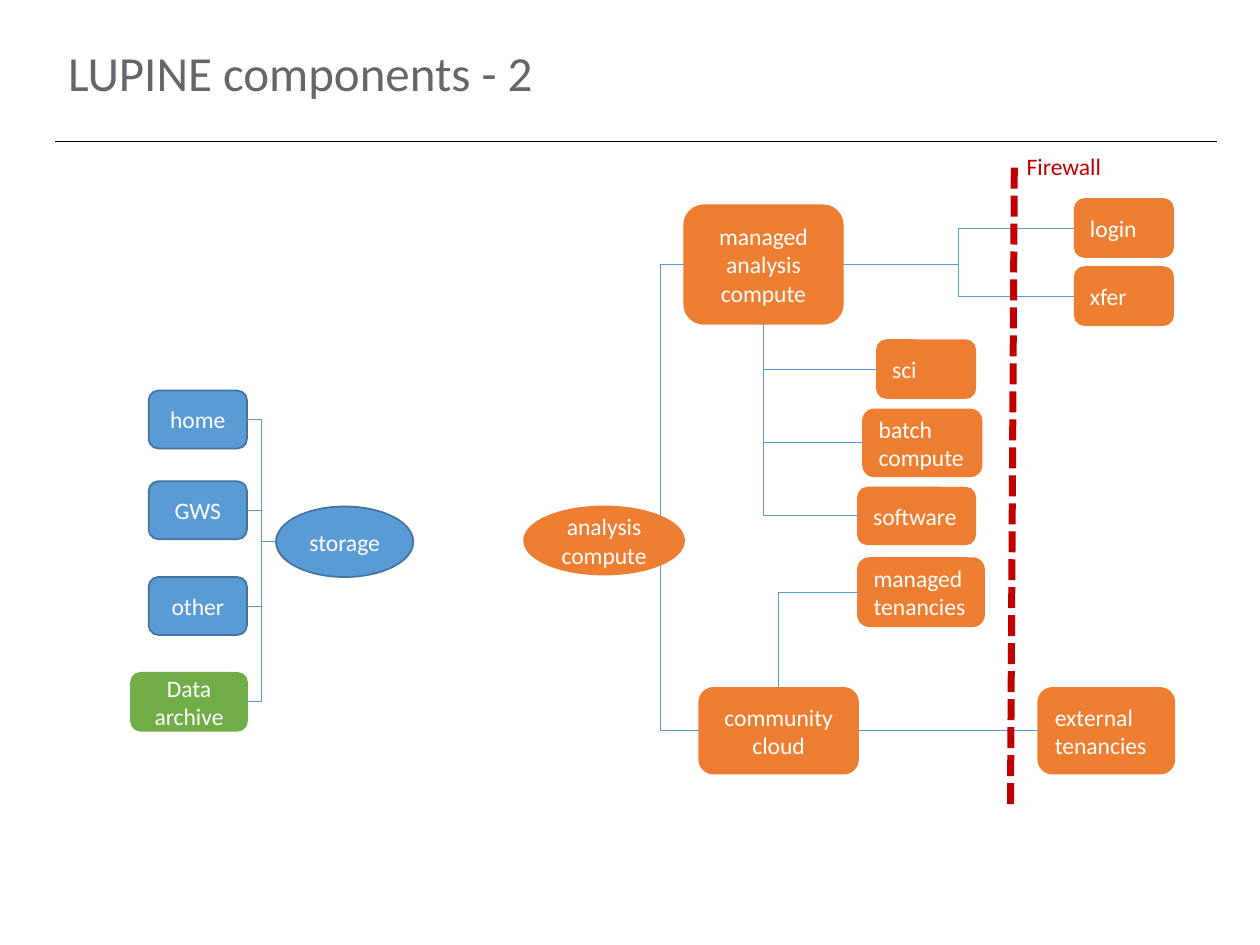
from lxml import etree
from pptx import Presentation
from pptx.dml.color import RGBColor
from pptx.enum.dml import MSO_LINE
from pptx.enum.shapes import MSO_CONNECTOR, MSO_SHAPE
from pptx.enum.text import MSO_ANCHOR, PP_ALIGN
from pptx.oxml.ns import qn
from pptx.util import Inches, Pt

ELLIPSE, ROUND = MSO_SHAPE.OVAL, MSO_SHAPE.ROUNDED_RECTANGLE
STRAIGHT, ELBOW = MSO_CONNECTOR.STRAIGHT, MSO_CONNECTOR.ELBOW
LEFT, CENTER = PP_ALIGN.LEFT, PP_ALIGN.CENTER
TOP, MIDDLE = MSO_ANCHOR.TOP, MSO_ANCHOR.MIDDLE
DASH = MSO_LINE.SQUARE_DOT

BLACK = RGBColor(0x00, 0x00, 0x00)
WHITE = RGBColor(0xFF, 0xFF, 0xFF)
GREY = RGBColor(0x63, 0x66, 0x6A)
BLUE = RGBColor(0x5B, 0x9B, 0xD5)
NAVY = RGBColor(0x43, 0x73, 0x9E)
GREEN = RGBColor(0x70, 0xAD, 0x47)
ORANGE = RGBColor(0xED, 0x7D, 0x31)
RED = RGBColor(0xC0, 0x00, 0x00)

COLS, ROWS = 1000, 750
NEAR, FAR = 0.15, 0.85
SITES = {
    ROUND: {"top": (0, 0.5, 0), "left": (1, 0, 0.5),
            "bottom": (2, 0.5, 1), "right": (3, 1, 0.5)},
    ELLIPSE: {"left": (2, 0, 0.5), "lower right": (5, FAR, FAR),
              "upper right": (7, FAR, NEAR)},
}

prs = Presentation()
prs.slide_width, prs.slide_height = Inches(10), Inches(7.5)
CELL_W, CELL_H = prs.slide_width // COLS, prs.slide_height // ROWS
s = prs.slides.add_slide(prs.slide_layouts[0])


def place(box, part=None):
    x, y, w, h = part or (0, 0, box[2], box[3])
    return ((box[0] + x) * CELL_W, (box[1] + y) * CELL_H,
            w * CELL_W, h * CELL_H)


def write(sp, text, size, color, align, anchor):
    tf = sp.text_frame
    tf.word_wrap = True
    tf.vertical_anchor = anchor
    tf.text = text
    for p in tf.paragraphs:
        p.alignment = align
        p.line_spacing = 0.9 if sp.is_placeholder else 1
        for r in p.runs:
            style = {"name": "Calibri", "size": Pt(size), "bold": False}
            for key, value in style.items():
                setattr(r.font, key, value)
            r.font.color.rgb = color


def line(kind, start, end, color, width):
    c = s.shapes.add_connector(kind, *map(round, start + end))
    c.line.color.rgb = color
    c.line.width = Pt(width)
    etree.SubElement(c._element.spPr, qn("a:effectLst"))
    return c


def node(box, text, part, fill, border, align=CENTER, kind=ROUND):
    sp = s.shapes.add_shape(kind, *place(box, part))
    sp.shadow.inherit = False
    sp.fill.solid()
    sp.fill.fore_color.rgb = fill
    sp.line.color.rgb = border
    sp.line.width = Pt(1)
    write(sp, text, 13.5, WHITE, align, MIDDLE)
    return sp


def link(start, start_side, end, end_side, kind=ELBOW, corner=False):
    points, glue = [], []
    for sp, side in ((start, start_side), (end, end_side)):
        site, fx, fy = SITES[sp.auto_shape_type][side]
        points.append((sp.left + sp.width * fx, sp.top + sp.height * fy))
        glue.append((sp.shape_id, site))
    c = line(kind, *points, BLUE, 0.5)
    if corner:
        c._element.spPr.find(qn("a:prstGeom")).set("prst", "bentConnector2")
    props = c._element.nvCxnSpPr.cNvCxnSpPr
    for tag, (shape_id, site) in zip(("a:stCxn", "a:endCxn"), glue):
        etree.SubElement(props, qn(tag), id=str(shape_id), idx=str(site))


def add_header(box):
    title = s.shapes.title
    title.left, title.top, title.width, title.height = place(box)
    write(title, "LUPINE components - 2", 28, GREY, LEFT, TOP)
    x, y, w, h = place(box)
    line(STRAIGHT, (x, y + h), (x + w - 3 * CELL_W, y + h), BLACK, 0.5)


def add_storage(box):
    storage = node(box, "storage", (115, 92, 109, 56), BLUE, NAVY, kind=ELLIPSE)
    for text, part, fill, border in (
            ("home", (14, 0, 78, 46), BLUE, NAVY),
            ("GWS", (14, 72, 78, 46), BLUE, NAVY),
            ("other", (14, 148, 78, 46), BLUE, NAVY),
            ("Data archive", (0, 224, 92, 46), GREEN, GREEN)):
        link(storage, "left", node(box, text, part, fill, border), "right")


def add_analysis(box):
    def orange(text, part, align=LEFT, kind=ROUND):
        return node(box, text, part, ORANGE, ORANGE, align, kind)

    analysis = orange("analysis\ncompute", (0, 244, 127, 54), CENTER, ELLIPSE)
    managed = orange("managed analysis compute", (127, 5, 126, 94), CENTER)
    cloud = orange("community cloud", (139, 388, 126, 68), CENTER)
    link(managed, "left", analysis, "upper right", corner=True)
    link(cloud, "left", analysis, "lower right", corner=True)
    for text, y in (("login", 0), ("xfer", 54)):
        link(managed, "right", orange(text, (437, y, 78, 46)), "left")
    for parent, side, text, part in (
            (managed, "bottom", "sci", (280, 112, 78, 46)),
            (managed, "bottom", "batch compute", (269, 167, 94, 53)),
            (managed, "bottom", "software", (265, 229, 93, 45)),
            (cloud, "top", "managed tenancies", (265, 285, 100, 54))):
        link(orange(text, part), "left", parent, side, corner=True)
    external = orange("external tenancies", (408, 388, 108, 68))
    link(cloud, "right", external, "left", STRAIGHT)


def add_firewall(box):
    x, y, w, h = place(box)
    wall = line(STRAIGHT, (x + 3 * CELL_W, y + 17 * CELL_H), (x, y + h), RED, 4)
    wall.line.dash_style = DASH
    label = s.shapes.add_textbox(*place(box, (3, 0, 101, 33)))
    write(label, "Firewall", 13.5, RED, LEFT, TOP)


add_header((44, 34, 925, 78))
add_storage((104, 310, 224, 270))
add_analysis((416, 158, 516, 456))
add_firewall((802, 116, 104, 523))
subtitle = s.placeholders[1]._element
subtitle.getparent().remove(subtitle)
prs.save("out.pptx")
